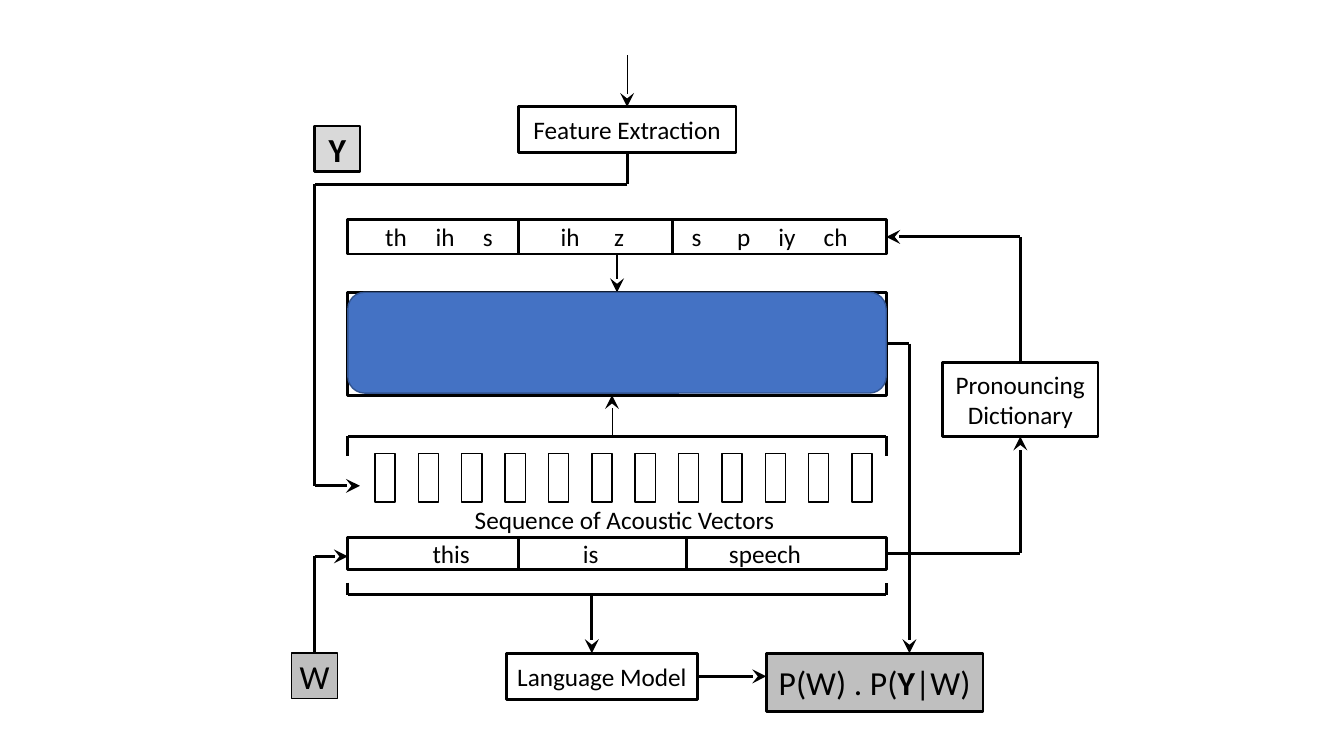
import pptx
import pptx.dml.color
import pptx.enum.shapes
import pptx.enum.text
import pptx.oxml.ns
import pptx.util
from lxml import etree

Inches = pptx.util.Inches
Pt = pptx.util.Pt
RGBColor = pptx.dml.color.RGBColor
SHAPE = pptx.enum.shapes.MSO_SHAPE
ALIGN = pptx.enum.text.PP_ALIGN

BLACK = RGBColor(0x00, 0x00, 0x00)
WHITE = RGBColor(0xFF, 0xFF, 0xFF)
LIGHT_GREY = RGBColor(0xD9, 0xD9, 0xD9)
GREY = RGBColor(0xBF, 0xBF, 0xBF)
BLUE = RGBColor(0x44, 0x72, 0xC4)
DARK_BLUE = RGBColor(0x32, 0x54, 0x91)

FONT = "Calibri"
TOP, LEFT, BOTTOM, RIGHT = range(4)
BAR_LEFT, BAR_WIDTH = 3.45, 5.34
BAR_RIGHT = BAR_LEFT + BAR_WIDTH
FEEDBACK_X = 3.12
DICTIONARY_X = 10.12


def add_run(paragraph, text, size=18, bold=False):
    run = paragraph.add_run()
    run.text = text
    run.font.name = FONT
    run.font.size = Pt(size)
    run.font.bold = bold
    run.font.color.rgb = BLACK


def add_box(slide, left, top, width, height, runs=(), size=18, fill=WHITE,
            line=BLACK, weight=2, kind=SHAPE.RECTANGLE):
    shape = slide.shapes.add_shape(
        kind, Inches(left), Inches(top), Inches(width), Inches(height))
    shape.shadow.inherit = False
    shape.fill.solid()
    shape.fill.fore_color.rgb = fill
    shape.line.color.rgb = line
    shape.line.width = Pt(weight)
    frame = shape.text_frame
    frame.word_wrap = True
    frame.vertical_anchor = pptx.enum.text.MSO_ANCHOR.MIDDLE
    frame.margin_left = frame.margin_right = Inches(0.05)
    frame.margin_top = frame.margin_bottom = 0
    paragraph = frame.paragraphs[0]
    paragraph.alignment = ALIGN.CENTER
    for text, bold in runs:
        add_run(paragraph, text, size, bold)
    return shape


def add_bar(slide, top, height, labels):
    shape = add_box(slide, BAR_LEFT, top, BAR_WIDTH, height)
    start = labels[0][1]
    shape.text_frame.margin_left = Inches(start - BAR_LEFT)
    paragraph = shape.text_frame.paragraphs[0]
    paragraph.alignment = ALIGN.LEFT
    properties = paragraph._p.get_or_add_pPr()
    tabs = etree.SubElement(properties, pptx.oxml.ns.qn("a:tabLst"))
    for text, left in labels[1:]:
        etree.SubElement(tabs, pptx.oxml.ns.qn("a:tab"),
                         pos=str(Inches(left - start)), algn="l")
    add_run(paragraph, "\t".join(text for text, left in labels))
    return shape


def add_caption(slide, left, top, width, height, text):
    shape = slide.shapes.add_textbox(
        Inches(left), Inches(top), Inches(width), Inches(height))
    shape.text_frame.word_wrap = False
    add_run(shape.text_frame.paragraphs[0], text)


def add_route(slide, points, arrow=False, weight=2, begin=None, end=None):
    for start, finish in zip(points, points[1:]):
        connector = slide.shapes.add_connector(
            pptx.enum.shapes.MSO_CONNECTOR.STRAIGHT,
            *(Inches(value) for value in start + finish))
        connector.line.color.rgb = BLACK
        connector.line.width = Pt(weight)
        if begin and start == points[0]:
            connector.begin_connect(*begin)
        if finish == points[-1]:
            if end:
                connector.end_connect(*end)
            if arrow:
                etree.SubElement(connector.line._get_or_add_ln(),
                                 pptx.oxml.ns.qn("a:tailEnd"),
                                 type="stealth", w="lg", len="lg")
        etree.SubElement(connector._element.spPr,
                         pptx.oxml.ns.qn("a:effectLst"))


def add_bracket(slide, tip, base):
    add_route(slide, [(BAR_LEFT, tip), (BAR_LEFT, base),
                      (BAR_RIGHT, base), (BAR_RIGHT, tip)])


def add_dividers(slide, positions, top, bottom):
    for x in positions:
        add_route(slide, [(x, top), (x, bottom)])


def main():
    presentation = pptx.Presentation()
    presentation.slide_width = Inches(13.33)
    presentation.slide_height = Inches(7.5)
    slide = presentation.slides.add_slide(presentation.slide_layouts[6])

    features = add_box(slide, 5.14, 1.06, 2.16, 0.45,
                       [("Feature Extraction", False)])
    phones = add_bar(slide, 2.18, 0.34, [
        ("th", 3.82), ("ih", 4.32), ("s", 4.79), ("ih", 5.56), ("z", 6.09),
        ("s", 6.86), ("p", 7.31), ("iy", 7.72), ("ch", 8.17)])
    acoustic_model = add_box(slide, BAR_LEFT, 2.9, BAR_WIDTH, 1.02)
    words = add_bar(slide, 5.33, 0.32, [
        ("this", 4.29), ("is", 5.78), ("speech", 7.23)])
    dictionary = add_box(slide, 9.35, 3.6, 1.54, 0.73,
                         [("Pronouncing Dictionary", False)])
    for index in range(12):
        add_box(slide, 3.72 + 0.43 * index, 4.5, 0.2, 0.48, weight=1)
    language_model = add_box(slide, 5.02, 6.48, 1.9, 0.46,
                             [("Language Model", False)])
    add_box(slide, 3.12, 1.25, 0.45, 0.45, [("Y", True)], 24, LIGHT_GREY)
    word_input = add_box(slide, 2.89, 6.48, 0.46, 0.45, [("W", False)], 24,
                         GREY, weight=1)
    add_box(slide, 7.6, 6.48, 2.15, 0.58,
            [("P(W) . P(", False), ("Y", True), ("|W)", False)], 24, GREY)
    add_caption(slide, 4.61, 4.95, 3.21, 0.4, "Sequence of Acoustic Vectors")

    add_route(slide, [(6.22, 0.55), (6.22, 1.06)], True, 0.5,
              end=(features, TOP))
    add_route(slide, [(6.22, 1.51), (6.22, 1.83), (FEEDBACK_X, 1.83),
                      (FEEDBACK_X, 4.82), (3.57, 4.82)], True,
              begin=(features, BOTTOM))
    add_route(slide, [(FEEDBACK_X, 6.48), (FEEDBACK_X, 5.52),
                      (BAR_LEFT, 5.52)], True, begin=(word_input, TOP))
    add_route(slide, [(BAR_RIGHT, 5.49), (DICTIONARY_X, 5.49),
                      (DICTIONARY_X, 4.33)], True,
              begin=(words, RIGHT), end=(dictionary, BOTTOM))
    add_route(slide, [(DICTIONARY_X, 3.6), (DICTIONARY_X, 2.35),
                      (BAR_RIGHT, 2.35)], True,
              begin=(dictionary, TOP), end=(phones, RIGHT))
    add_route(slide, [(6.12, 2.52), (6.12, 2.9)], True,
              begin=(phones, BOTTOM), end=(acoustic_model, TOP))
    add_route(slide, [(6.07, 4.33), (6.07, 3.92)], True, 0.5)
    add_route(slide, [(BAR_RIGHT, 3.41), (9.02, 3.41), (9.02, 6.48)], True,
              begin=(acoustic_model, RIGHT))
    add_route(slide, [(5.87, 5.9), (5.87, 6.48)], True)
    add_route(slide, [(6.92, 6.71), (7.6, 6.71)], True,
              begin=(language_model, RIGHT))
    add_bracket(slide, 4.52, 4.33)
    add_bracket(slide, 5.78, 5.9)
    add_dividers(slide, (5.14, 6.67), 2.18, 2.52)
    add_dividers(slide, (5.14, 6.81), 5.35, 5.65)

    add_box(slide, BAR_LEFT, 2.9, BAR_WIDTH, 1, fill=BLUE, line=DARK_BLUE,
            weight=1, kind=SHAPE.ROUNDED_RECTANGLE)
    presentation.save("out.pptx")


if __name__ == "__main__":
    main()
